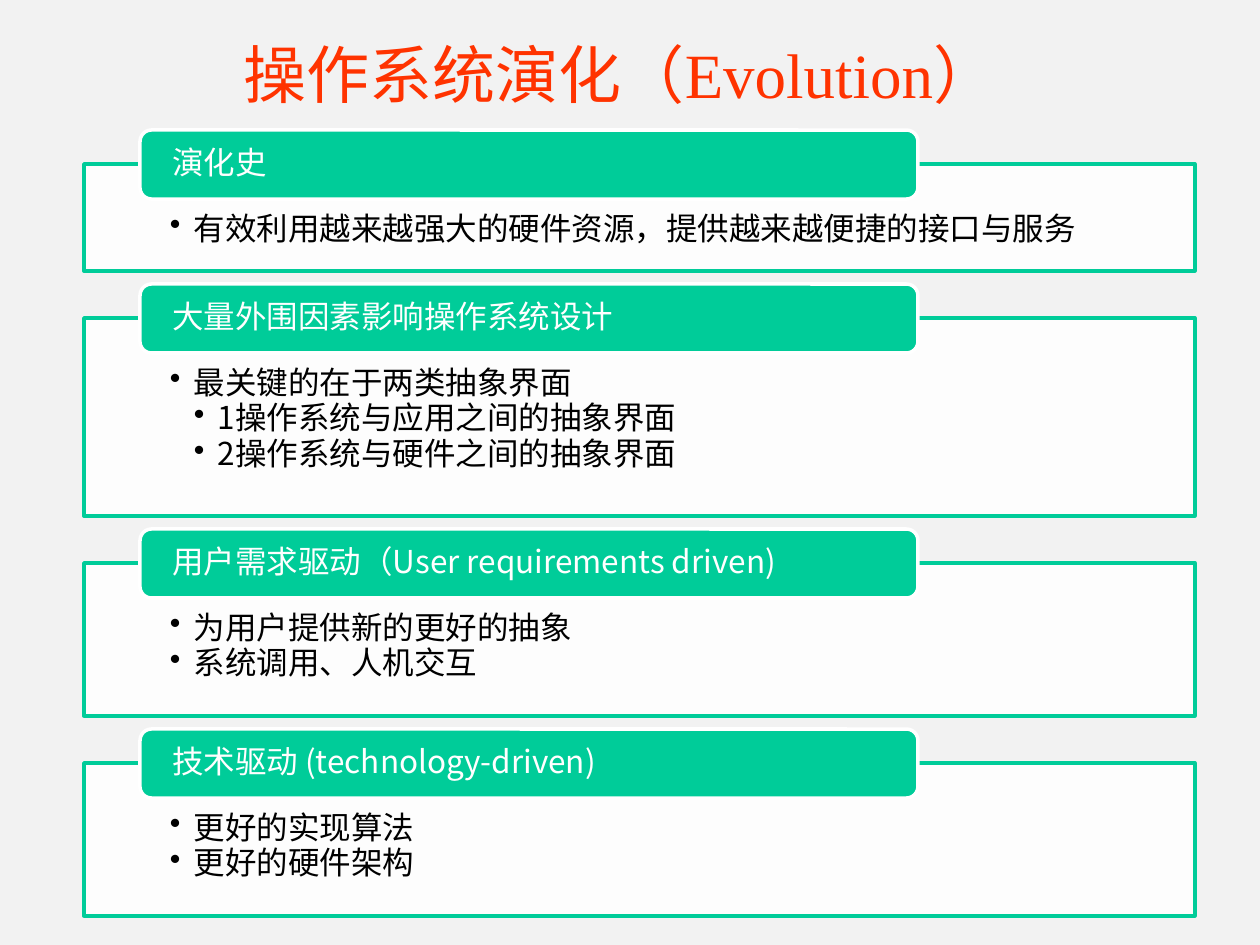
"""Build the slide on how operating systems evolve."""
from dataclasses import dataclass

from pptx import Presentation
from pptx import util as u
from pptx.dml.color import RGBColor
from pptx.enum import shapes, text
from pptx.oxml.ns import qn

SCALE = 914400 / 126


@dataclass(frozen=True)
class Theme:
    back: str = "F2F2F2"
    title: str = "FF3300"
    green: str = "00CC99"
    white: str = "FFFFFF"
    ink: str = "000000"
    serif: str = "Times New Roman"
    sans: str = "Noto Sans CJK SC"
    big: int = 36
    body: int = 18
    line: int = 2


THEME = Theme()

CARDS = [
    ("演化史", 107, [(1, "有效利用越来越强大的硬件资源，提供越来越便捷的接口与服务")]),
    ("大量外围因素影响操作系统设计", 198, [
        (1, "最关键的在于两类抽象界面"),
        (2, "1操作系统与应用之间的抽象界面"),
        (2, "2操作系统与硬件之间的抽象界面"),
    ]),
    ("用户需求驱动（User requirements driven)", 153, [
        (1, "为用户提供新的更好的抽象"),
        (1, "系统调用、人机交互"),
    ]),
    ("技术驱动 (technology-driven)", 153, [
        (1, "更好的实现算法"),
        (1, "更好的硬件架构"),
    ]),
]


def px(n):
    return u.Emu(round(n * SCALE))


def rgb(code):
    return RGBColor.from_string(code)


def add_run(para, words, size, color, face):
    run = para.add_run()
    run.text = words
    font = run.font
    font.size = u.Pt(size)
    font.color.rgb = rgb(color)
    font.name = face
    props = font._element
    props.append(props.makeelement(qn("a:ea"), {"typeface": THEME.sans}))


def add_box(slide, kind, area, fill, line, insets, anchor):
    box = slide.shapes.add_shape(kind, *map(px, area))
    box.shadow.inherit = False
    box.fill.solid()
    box.fill.fore_color.rgb = rgb(fill)
    box.line.color.rgb = rgb(line)
    box.line.width = u.Pt(THEME.line)
    frame = box.text_frame
    frame.word_wrap = True
    frame.vertical_anchor = anchor
    (frame.margin_left, frame.margin_top,
     frame.margin_right, frame.margin_bottom) = map(px, insets)
    return box


def fade(box, share):
    color = box.fill._xPr.find(qn("a:solidFill"))[0]
    color.append(color.makeelement(qn("a:alpha"), {"val": str(share * 1000)}))


def set_para(para):
    para.alignment = text.PP_ALIGN.LEFT
    para.line_spacing = 0.9
    para.space_after = u.Pt(1)


def add_point(para, level, words):
    set_para(para)
    para.level = level
    props = para._p.get_or_add_pPr()
    props.set("marL", str(px(24 * level)))
    props.set("indent", str(px(-24)))
    props.append(props.makeelement(qn("a:buChar"), {"char": "•"}))
    add_run(para, words, THEME.body, THEME.ink, THEME.sans)


def add_card(slide, top, height, head, points):
    kind = shapes.MSO_SHAPE
    panel = add_box(slide, kind.RECTANGLE, (84, top, 1111, height),
                    THEME.white, THEME.green, (86, 49, 86, 18),
                    text.MSO_ANCHOR.TOP)
    fade(panel, 90)
    frame = panel.text_frame
    for i, (level, words) in enumerate(points):
        para = frame.add_paragraph() if i else frame.paragraphs[0]
        add_point(para, level, words)

    tab = add_box(slide, kind.ROUNDED_RECTANGLE, (140, top - 34, 778, 69),
                  THEME.green, THEME.white, (29, 0, 29, 0),
                  text.MSO_ANCHOR.MIDDLE)
    para = tab.text_frame.paragraphs[0]
    set_para(para)
    add_run(para, head, THEME.body, THEME.white, THEME.sans)


def add_title(slide, words):
    title = slide.shapes.title
    title.left, title.top, title.width, title.height = map(px, (26, 9, 1188, 129))
    title.text_frame.vertical_anchor = text.MSO_ANCHOR.MIDDLE
    para = title.text_frame.paragraphs[0]
    para.alignment = text.PP_ALIGN.CENTER
    add_run(para, words, THEME.big, THEME.title, THEME.serif)


def main():
    deck = Presentation()
    deck.slide_width, deck.slide_height = px(1260), px(945)
    slide = deck.slides.add_slide(deck.slide_layouts[5])
    slide.background.fill.solid()
    slide.background.fill.fore_color.rgb = rgb(THEME.back)
    add_title(slide, "操作系统演化（Evolution）")
    top, gap = 164, 47
    for head, height, points in CARDS:
        add_card(slide, top, height, head, points)
        top += height + gap
    deck.save("out.pptx")


if __name__ == "__main__":
    main()
